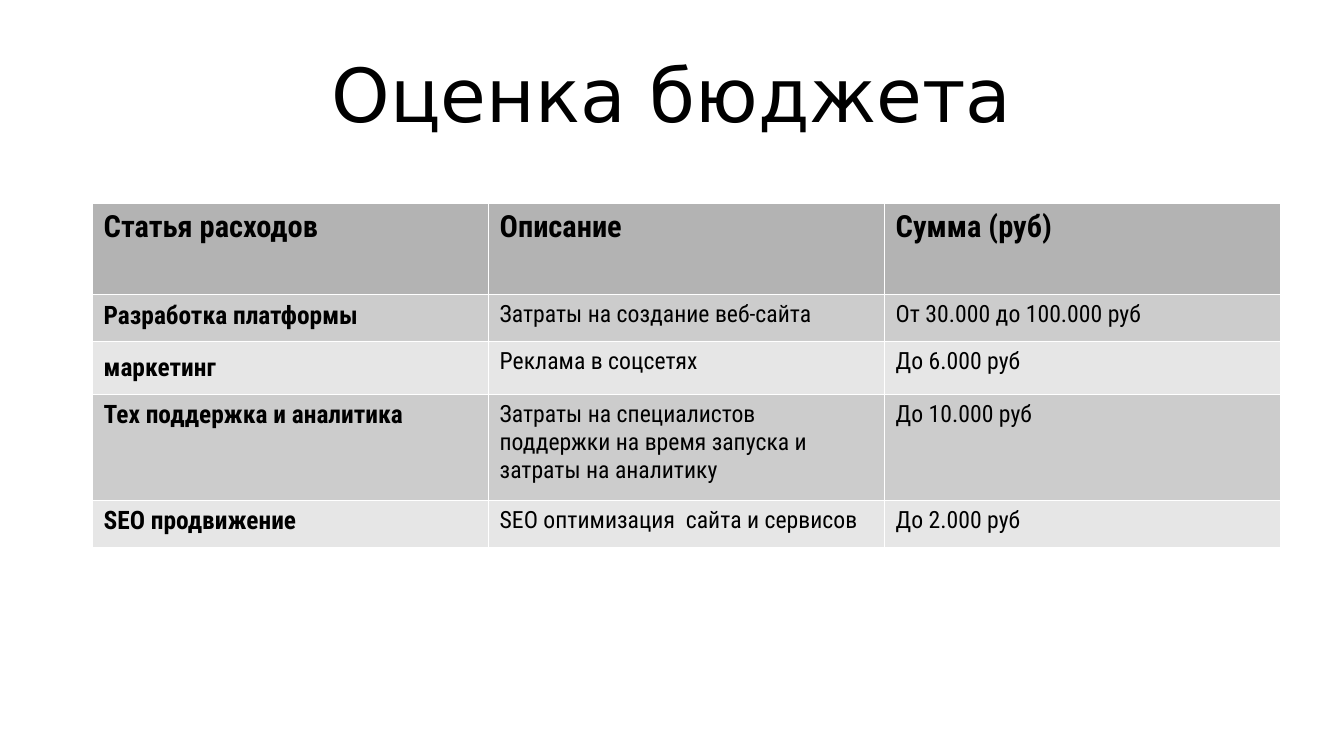
from lxml import etree
from pptx import Presentation
from pptx.dml.color import RGBColor
from pptx.enum.text import MSO_ANCHOR, PP_ALIGN
from pptx.oxml.ns import qn
from pptx.util import Cm, Pt

CENTER = PP_ALIGN.CENTER
MIDDLE = MSO_ANCHOR.MIDDLE

BLACK = RGBColor(0x00, 0x00, 0x00)
WHITE = RGBColor(0xFF, 0xFF, 0xFF)
HEADER_GREY = RGBColor(0xB3, 0xB3, 0xB3)
BAND_GREYS = (RGBColor(0xCC, 0xCC, 0xCC), RGBColor(0xE6, 0xE6, 0xE6))

TITLE_FONT = "DejaVu Sans"
TABLE_FONT = "Roboto Condensed"
COLUMN_WIDTH = 8.25
ROW_HEIGHTS = (1.9, 0.97, 1.11, 2.21, 0.97)
BORDER_WIDTH = Pt(0.06)

BUDGET = (
    ("Статья расходов", "Описание", "Сумма (руб)"),
    ("Разработка платформы", "Затраты на создание веб-сайта",
     "От 30.000 до 100.000 руб"),
    ("маркетинг", "Реклама в соцсетях", "До 6.000 руб"),
    ("Тех поддержка и аналитика",
     "Затраты на специалистов поддержки на время запуска и затраты на аналитику",
     "До 10.000 руб"),
    ("SEO продвижение", "SEO оптимизация  сайта и сервисов", "До 2.000 руб"),
)


def add_run(p, text, font, size, bold=False):
    r = p.add_run()
    r.text = text
    r.font.name = font
    r.font.size = Pt(size)
    r.font.bold = bold
    r.font.color.rgb = BLACK


def add_title(s, text):
    sp = s.shapes.add_textbox(Cm(1.4), Cm(0.2), Cm(25.2), Cm(3.48))
    tf = sp.text_frame
    tf.word_wrap = True
    tf.vertical_anchor = MIDDLE
    tf.margin_left = tf.margin_right = tf.margin_top = tf.margin_bottom = 0
    p = tf.paragraphs[0]
    p.alignment = CENTER
    add_run(p, text, TITLE_FONT, 44)


def set_borders(cell):
    """Draw hairlines; call before filling, as the schema puts lines first."""
    tc_pr = cell._tc.get_or_add_tcPr()
    for side in ("lnL", "lnR", "lnT", "lnB"):
        ln = etree.SubElement(tc_pr, qn(f"a:{side}"), w=str(BORDER_WIDTH))
        fill = etree.SubElement(ln, qn("a:solidFill"))
        etree.SubElement(fill, qn("a:srgbClr"), val=str(WHITE))


def fill_cell(cell, text, size, bold, color):
    cell.margin_left = cell.margin_right = Cm(0.25)
    cell.margin_top = cell.margin_bottom = Cm(0.13)
    set_borders(cell)
    cell.fill.solid()
    cell.fill.fore_color.rgb = color
    add_run(cell.text_frame.paragraphs[0], text, TABLE_FONT, size, bold)


def add_budget_table(s):
    columns = len(BUDGET[0])
    table = s.shapes.add_table(
        len(BUDGET), columns, Cm(1.91), Cm(4.23),
        Cm(COLUMN_WIDTH * columns), Cm(sum(ROW_HEIGHTS))).table
    for column in table.columns:
        column.width = Cm(COLUMN_WIDTH)
    for i, (height, texts) in enumerate(zip(ROW_HEIGHTS, BUDGET)):
        table.rows[i].height = Cm(height)
        color = BAND_GREYS[(i - 1) % 2] if i else HEADER_GREY
        for j, text in enumerate(texts):
            size = 18 if i == 0 else 15 if j == 0 else 14
            fill_cell(table.cell(i, j), text, size, i == 0 or j == 0, color)
    marketing = table.cell(2, 0)
    marketing.margin_top = Cm(0.25)


def main():
    prs = Presentation()
    prs.slide_width, prs.slide_height = Cm(28), Cm(15.75)
    s = prs.slides.add_slide(prs.slide_layouts[6])
    add_title(s, "Оценка бюджета")
    add_budget_table(s)
    prs.save("out.pptx")


if __name__ == "__main__":
    main()
